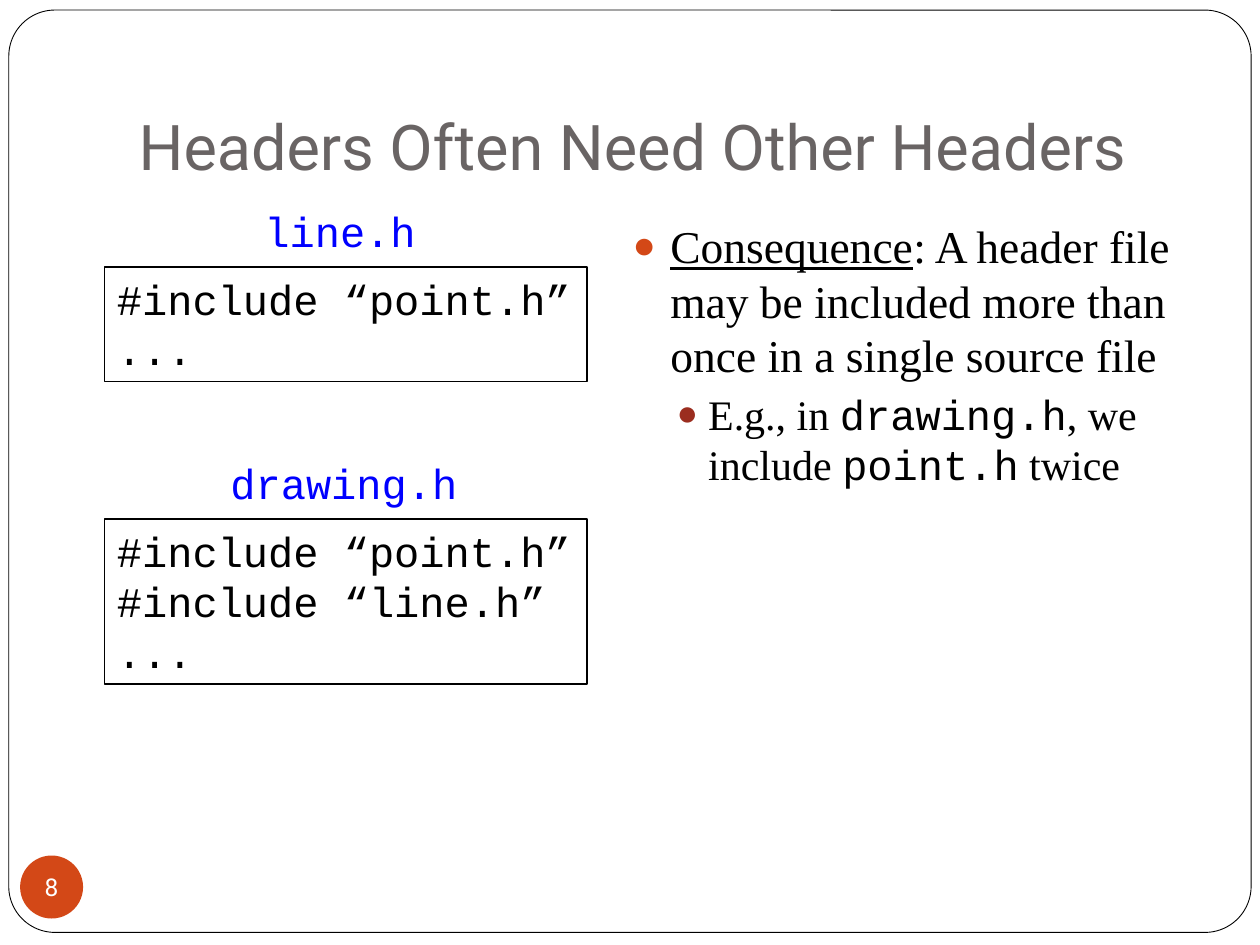
import dataclasses

import pptx
import pptx.dml.color
import pptx.enum.shapes
import pptx.enum.text
import pptx.oxml
import pptx.oxml.ns
import pptx.util

Inches = pptx.util.Inches
Pt = pptx.util.Pt
MSO_SHAPE = pptx.enum.shapes.MSO_SHAPE
ALIGN = pptx.enum.text.PP_ALIGN
ANCHOR = pptx.enum.text.MSO_ANCHOR
AUTO_SIZE = pptx.enum.text.MSO_AUTO_SIZE


@dataclasses.dataclass(frozen=True)
class Theme:
    white: str = "FFFFFF"
    ink: str = "000000"
    heading: str = "696464"
    accent: str = "D34817"
    sub_accent: str = "9B2D1F"
    file_name: str = "0000FF"
    sans: str = "Roboto"
    serif: str = "Times New Roman"
    mono: str = "Courier New"
    title_size: int = 36
    point_size: int = 26
    code_size: int = 24
    number_size: int = 14


THEME = Theme()


def rgb(value):
    return pptx.dml.color.RGBColor.from_string(value)


def apply(target, values):
    for name, value in values.items():
        setattr(target, name, value)


def place(element, box):
    apply(element, dict(zip(("left", "top", "width", "height"), map(Inches, box))))


def add_run(paragraph, text, font, size, color, **extra):
    run = paragraph.add_run()
    run.text = text
    apply(run.font, {"name": font, "size": Pt(size), **extra})
    run.font.color.rgb = rgb(color)


def add_panel(slide, preset, box, fill=None, line=None, width=0.75):
    panel = slide.shapes.add_shape(preset, *map(Inches, box))
    panel.shadow.inherit = False
    if fill:
        panel.fill.solid()
        panel.fill.fore_color.rgb = rgb(fill)
    else:
        panel.fill.background()
    if line:
        panel.line.color.rgb = rgb(line)
        panel.line.width = Pt(width)
    else:
        panel.line.fill.background()
    return panel


def add_frame(slide):
    frame = add_panel(slide, MSO_SHAPE.ROUNDED_RECTANGLE, (0.07, 0.08, 9.86, 7.32),
                      THEME.white, THEME.ink, 0.5)
    frame.adjustments[0] = 0.05
    tree = frame.element.getparent()
    tree.insert(2, frame.element)


def fill_title(slide, text):
    title = slide.shapes.title
    place(title, (1, 0.3, 8.5, 1.25))
    apply(title.text_frame, {"vertical_anchor": ANCHOR.BOTTOM, "auto_size": AUTO_SIZE.NONE,
                             "word_wrap": True, "margin_bottom": Inches(0.1)})
    heading = title.text_frame.paragraphs[0]
    heading.alignment = ALIGN.LEFT
    add_run(heading, text, THEME.sans, THEME.title_size, THEME.heading)


def add_page_number(slide, number):
    badge = add_panel(slide, MSO_SHAPE.OVAL, (0.16, 6.79, 0.5, 0.5), THEME.accent)
    margins = dict.fromkeys(("margin_left", "margin_top", "margin_right", "margin_bottom"), 0)
    apply(badge.text_frame, {"vertical_anchor": ANCHOR.MIDDLE, "word_wrap": False, **margins})
    label = badge.text_frame.paragraphs[0]
    label.alignment = ALIGN.CENTER
    add_run(label, number, THEME.sans, THEME.number_size, THEME.white)


def format_bullet(paragraph, level, color, indent, hanging, space):
    apply(paragraph, {"level": level, "space_before": Pt(space), "alignment": ALIGN.LEFT})
    properties = paragraph._p.get_or_add_pPr()
    properties.set("marL", str(Inches(indent)))
    properties.set("indent", str(-Inches(hanging)))
    namespace = pptx.oxml.ns.nsdecls("a")
    for xml in (f'<a:buClr {namespace}><a:srgbClr val="{color}"/></a:buClr>',
                f'<a:buSzPct {namespace} val="85000"/>',
                f'<a:buChar {namespace} char="●"/>'):
        properties.append(pptx.oxml.parse_xml(xml))


def fill_body(slide):
    body = slide.placeholders[1]
    place(body, (4.92, 1.68, 4.67, 5))
    apply(body.text_frame, {"auto_size": AUTO_SIZE.NONE, "word_wrap": True})
    consequence = body.text_frame.paragraphs[0]
    format_bullet(consequence, 0, THEME.accent, 0.3, 0.3, 5.8)
    for text, underline in (
            ("Consequence", True),
            (": A header file may be included more than once in a single source file", False)):
        add_run(consequence, text, THEME.serif, THEME.point_size, THEME.ink, underline=underline)

    example = body.text_frame.add_paragraph()
    format_bullet(example, 1, THEME.sub_accent, 0.6, 0.25, 3.7)
    for text, font in (("E.g., in ", THEME.serif), ("drawing.h", THEME.mono),
                       (", we include ", THEME.serif), ("point.h", THEME.mono),
                       (" twice", THEME.serif)):
        add_run(example, text, font, THEME.code_size, THEME.ink)


def write_code(text_frame, lines, color):
    apply(text_frame, {"word_wrap": False, "auto_size": AUTO_SIZE.SHAPE_TO_FIT_TEXT,
                       "vertical_anchor": ANCHOR.TOP})
    for index, line in enumerate(lines):
        paragraph = text_frame.add_paragraph() if index else text_frame.paragraphs[0]
        paragraph.alignment = ALIGN.LEFT
        add_run(paragraph, line, THEME.mono, THEME.code_size, color)


def add_header_file(slide, name, lines, top, name_left, name_width):
    code = add_panel(slide, MSO_SHAPE.RECTANGLE,
                     (0.83, top + 0.54, 3.83, 0.11 + 0.4 * len(lines)), line=THEME.ink)
    write_code(code.text_frame, lines, THEME.ink)
    caption = slide.shapes.add_textbox(*map(Inches, (name_left, top, name_width, 0.5)))
    write_code(caption.text_frame, [name], THEME.file_name)


def main():
    deck = pptx.Presentation()
    apply(deck, {"slide_width": Inches(10), "slide_height": Inches(7.5)})
    slide = deck.slides.add_slide(deck.slide_layouts[1])
    add_frame(slide)
    fill_title(slide, "Headers Often Need Other Headers")
    add_page_number(slide, "8")
    fill_body(slide)
    add_header_file(slide, "line.h", ["#include “point.h”", "..."], 1.58, 2, 1.41)
    add_header_file(slide, "drawing.h", ["#include “point.h”", "#include “line.h”", "..."],
                    3.58, 1.73, 2.02)
    deck.save("out.pptx")


if __name__ == "__main__":
    main()
